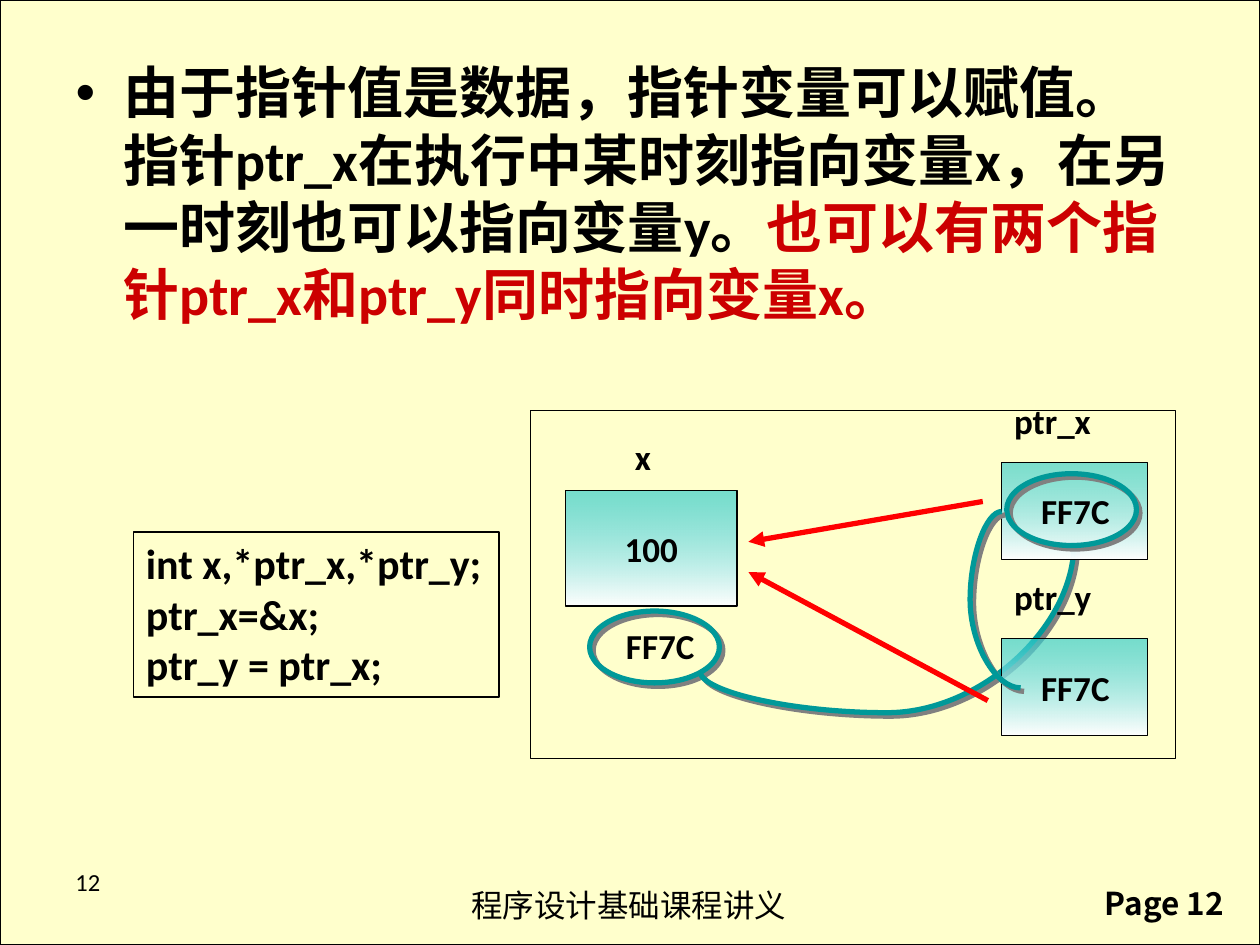
from dataclasses import dataclass
from lxml.etree import SubElement
from pptx import Presentation
from pptx.dml.color import RGBColor
from pptx.enum.shapes import MSO_CONNECTOR, MSO_SHAPE
from pptx.enum.text import MSO_ANCHOR, MSO_AUTO_SIZE, PP_ALIGN
from pptx.oxml.ns import qn
from pptx.util import Inches, Pt


@dataclass(frozen=True)
class Theme:
    paper: str = "FFFFCC"
    ink: str = "000000"
    accent: str = "CC0000"
    arrow: str = "FF0000"
    loop: str = "009999"
    shade: str = "808080"
    cell_top: str = "33CCCC"
    cell_bottom: str = "FFFFFF"
    font: str = "Calibri"
    footer_font: str = "Arial"
    cjk_font: str = "Noto Sans CJK SC"
    body: int = 32
    code: int = 24
    label: int = 20
    footer: int = 18
    number: int = 14
    thin: float = 0.75
    thick: float = 3


T = Theme()


def rgb(color):
    return RGBColor.from_string(color)


def write(tf, *paragraphs, size=T.label, font=T.font, bold=True, align=None,
          anchor=MSO_ANCHOR.TOP, wrap=True):
    """Fill a frame; each paragraph is a string or a list of (text, color)."""
    tf.word_wrap = wrap
    tf.auto_size = MSO_AUTO_SIZE.NONE
    tf.vertical_anchor = anchor
    for i, runs in enumerate(paragraphs):
        p = tf.add_paragraph() if i else tf.paragraphs[0]
        p.alignment = align
        for text, color in [(runs, T.ink)] if isinstance(runs, str) else runs:
            r = p.add_run()
            r.text = text
            r.font.size, r.font.name, r.font.bold = Pt(size), font, bold
            r.font.color.rgb = rgb(color)
            SubElement(r.font._element, qn("a:ea"), typeface=T.cjk_font)


def add_text(shapes, x, y, w, h, *paragraphs, **fmt):
    sp = shapes.add_textbox(Inches(x), Inches(y), Inches(w), Inches(h))
    write(sp.text_frame, *paragraphs, **fmt)


def add_shadow(effects):
    shadow = SubElement(effects, qn("a:outerShdw"), dist=str(Pt(2.8)),
                        dir="2700000", algn="ctr", rotWithShape="0")
    SubElement(shadow, qn("a:srgbClr"), val=T.shade)


def add_outline(shapes, kind, x, y, w, h, fill=None, line=T.ink, width=T.thin):
    sp = shapes.add_shape(kind, Inches(x), Inches(y), Inches(w), Inches(h))
    sp.shadow.inherit = False
    if fill:
        sp.fill.solid()
        sp.fill.fore_color.rgb = rgb(fill)
    else:
        sp.fill.background()
    sp.line.color.rgb = rgb(line)
    sp.line.width = Pt(width)
    return sp


def add_cell(shapes, x, y, w, h, alpha=67):
    """Add a memory cell with a see-through gradient."""
    sp = add_outline(shapes, MSO_SHAPE.RECTANGLE, x, y, w, h)
    sp.fill.gradient()
    sp.fill.gradient_angle = 270
    for stop, color in zip(sp.fill.gradient_stops, (T.cell_top, T.cell_bottom)):
        stop.color.rgb = rgb(color)
    top_color = next(sp._element.spPr.iter(qn("a:srgbClr")))
    SubElement(top_color, qn("a:alpha"), val=str(alpha * 1000))
    return sp


def add_loop(shapes, x, y):
    """Ring an address."""
    sp = add_outline(shapes, MSO_SHAPE.OVAL, x, y, 1.03, 0.57, line=T.loop, width=T.thick)
    add_shadow(sp._element.spPr.find(qn("a:effectLst")))


def add_line(shapes, kind, x1, y1, x2, y2, color):
    cn = shapes.add_connector(kind, Inches(x1), Inches(y1), Inches(x2), Inches(y2))
    cn.line.color.rgb = rgb(color)
    cn.line.width = Pt(T.thick)
    return cn, SubElement(cn._element.spPr, qn("a:effectLst"))


def add_arrow(shapes, x1, y1, x2, y2):
    cn, _ = add_line(shapes, MSO_CONNECTOR.STRAIGHT, x1, y1, x2, y2, T.arrow)
    SubElement(cn.line._get_or_add_ln(), qn("a:tailEnd"), type="triangle")


def add_curve(shapes, x, y, w, h, bend, **xfrm):
    """Add a curved link; bend is in percent of its width."""
    cn, effects = add_line(shapes, MSO_CONNECTOR.CURVE, x, y, x + w, y + h, T.loop)
    add_shadow(effects)
    spPr = cn._element.spPr
    for name, value in xfrm.items():
        spPr.find(qn("a:xfrm")).set(name, value)
    geom = spPr.find(qn("a:prstGeom"))
    guides = geom.find(qn("a:avLst"))
    if guides is None:
        guides = SubElement(geom, qn("a:avLst"))
    SubElement(guides, qn("a:gd"), name="adj1", fmla=f"val {round(bend * 1000)}")


def page_frame(s, w, h):
    add_outline(s.shapes, MSO_SHAPE.RECTANGLE, 0, 0, w, h, fill=T.paper)
    add_text(s.shapes, 3.64, h - 0.52, 2.73, 0.4, "程序设计基础课程讲义",
             size=T.footer, font=T.footer_font, bold=False, wrap=False)
    add_text(s.shapes, 8.67, h - 0.53, 1.28, 0.4, "Page 12",
             size=T.footer, font=T.cjk_font, wrap=False)
    add_text(s.shapes, 0.5, h - 0.67, 2.33, 0.52, "12", size=T.number, bold=False)


def body_text(s, x, y, w, h):
    sp = s.placeholders[1]
    sp.left, sp.top, sp.width, sp.height = map(Inches, (x, y, w, h))
    write(sp.text_frame, [
        ("由于指针值是数据，指针变量可以赋值。指针ptr_x在执行中某时刻指向变量x，"
         "在另一时刻也可以指向变量y。", T.ink),
        ("也可以有两个指针ptr_x和ptr_y同时指向变量x。", T.accent)], size=T.body)
    pPr = sp.text_frame.paragraphs[0]._p.get_or_add_pPr()
    pPr.set("marL", str(Inches(0.38)))
    pPr.set("indent", str(Inches(-0.38)))
    SubElement(pPr, qn("a:buChar"), char="•")
    s.shapes._spTree.append(sp._element)


def code_box(s, x, y, w, h):
    sp = add_outline(s.shapes, MSO_SHAPE.RECTANGLE, x, y, w, h, fill=T.paper, width=1)
    write(sp.text_frame, "int x,*ptr_x,*ptr_y;", "ptr_x=&x;", "ptr_y = ptr_x;",
          size=T.code, align=PP_ALIGN.LEFT, wrap=False)


def memory_diagram(s, x, y, w, h):
    shapes = s.shapes
    centred = dict(align=PP_ALIGN.CENTER, anchor=MSO_ANCHOR.MIDDLE, wrap=False)
    pointers = (("ptr_x", y + 0.41, 64), ("ptr_y", y + 1.81, 67))
    cell_x = x + 3.74

    add_arrow(shapes, x + 3.59, y + 0.72, x + 1.73, y + 1.04)
    add_loop(shapes, x + 0.47, y + 1.59)
    add_curve(shapes, x + 2.32, y + 0.07, 1.02, 2.97, -32.5,
              rot="5400000", flipH="1", flipV="1")

    group = shapes.add_group_shape().shapes
    add_outline(group, MSO_SHAPE.RECTANGLE, x, y, w, h)
    value = add_cell(group, x + 0.28, y + 0.63, 1.36, 0.92)
    write(value.text_frame, "100", **centred)
    add_text(group, x + 0.73, y + 0.15, 0.75, 0.43, "x")
    add_text(group, x + 0.66, y + 1.65, 0.96, 0.43, "FF7C")
    for name, top, alpha in pointers:
        add_cell(group, cell_x, top, 1.16, 0.77, alpha)
        add_text(group, cell_x, top - 0.55, 1.16, 0.43, name)

    for _, top, _ in pointers:
        add_text(shapes, cell_x + 0.15, top + 0.13, 0.87, 0.51, "FF7C", **centred)
    add_loop(shapes, x + 3.78, y + 0.5)
    add_curve(shapes, cell_x, y + 0.8, 0.15, 1.4, -167.4)
    add_arrow(shapes, x + 3.63, y + 2.3, x + 1.73, y + 1.28)


def main():
    prs = Presentation()
    prs.slide_width, prs.slide_height = Inches(10), Inches(7.5)
    s = prs.slides.add_slide(prs.slide_layouts[1])
    title = s.shapes.title._element
    title.getparent().remove(title)
    page_frame(s, 10, 7.5)
    body_text(s, 0.5, 0.41, 9, 2.05)
    code_box(s, 1.06, 4.22, 2.9, 1.31)
    memory_diagram(s, 4.21, 3.26, 5.12, 2.76)
    prs.save("out.pptx")


if __name__ == "__main__":
    main()
